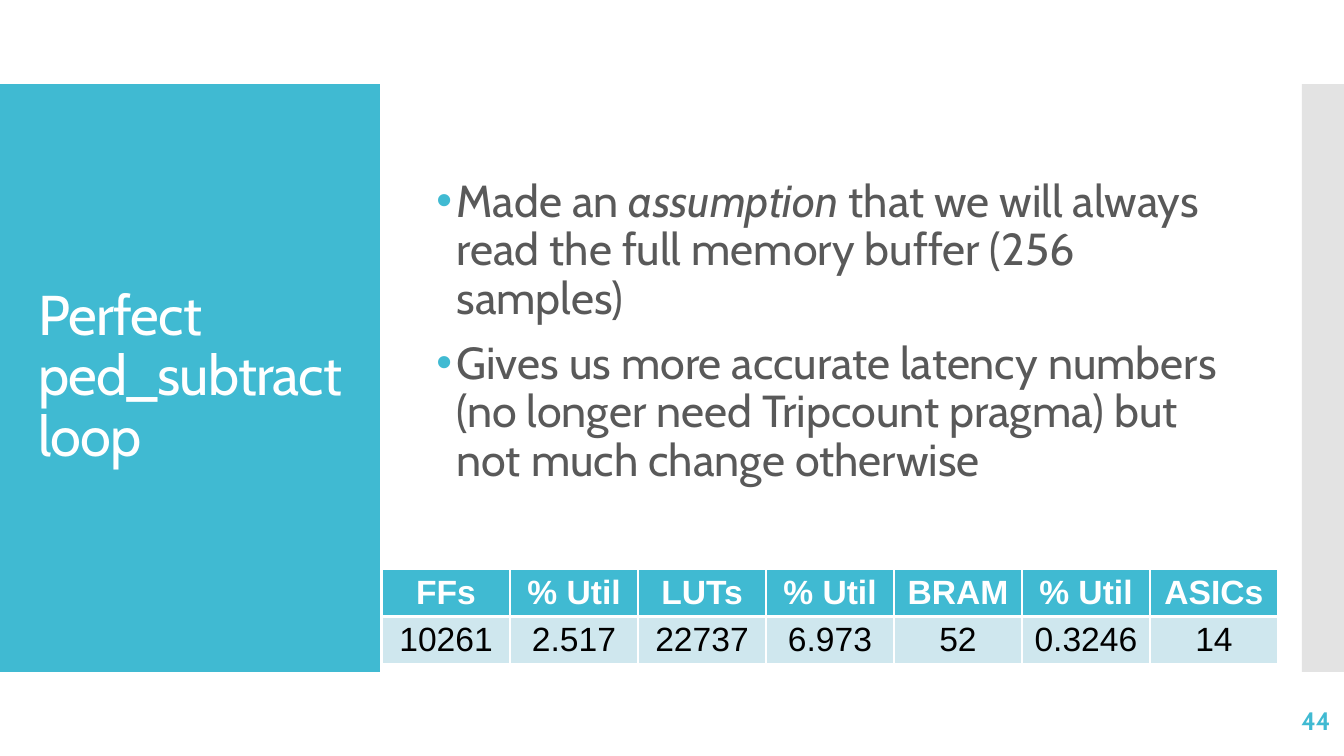
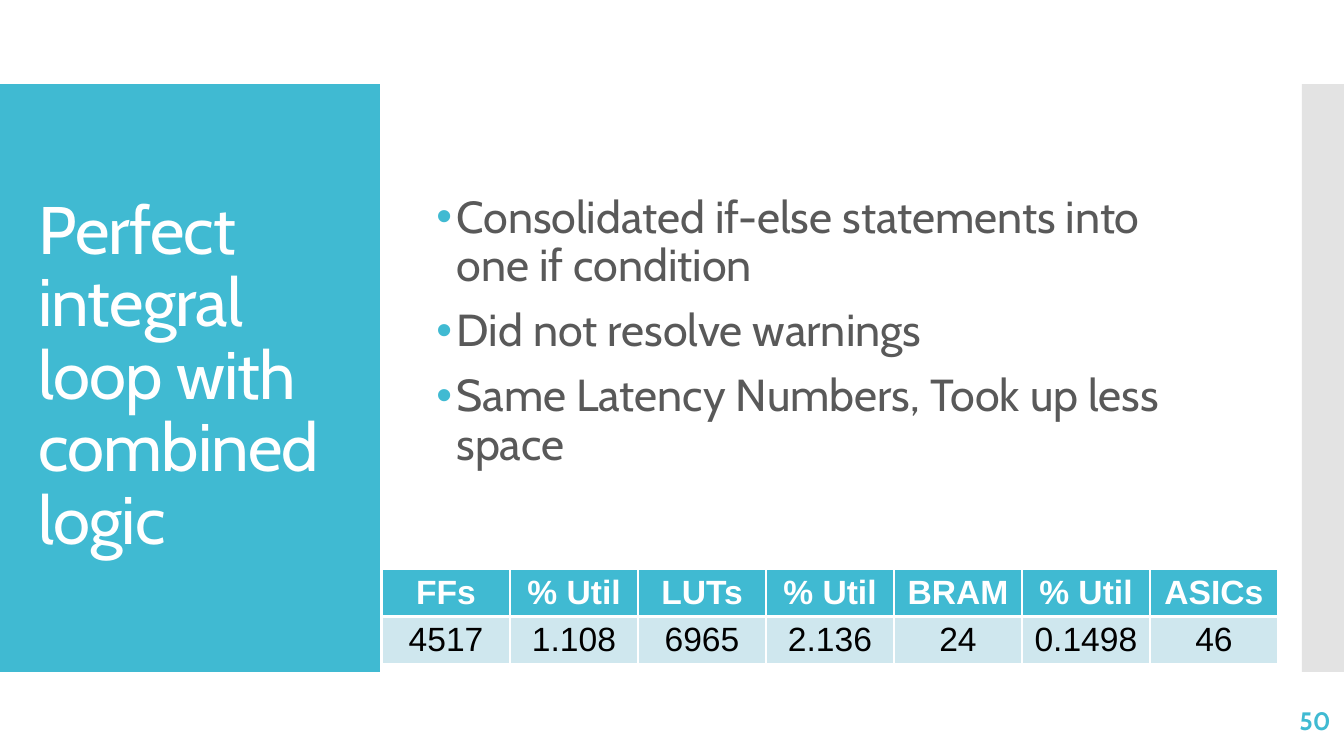
from lxml import etree
from pptx import Presentation
from pptx.dml.color import RGBColor
from pptx.enum import shapes, text
from pptx.oxml.ns import qn
from pptx.util import Pt

HEADER = ["FFs", "% Util", "LUTs", "% Util", "BRAM", "% Util", "ASICs"]
# Each bullet is a list of (text, italic) runs.
SLIDES = [
    {
        "title": "Perfect ped_subtract loop",
        "title_size": 40,
        "bullets": [
            [("Made an ", False), ("assumption", True),
             (" that we will always read the full memory buffer (256 samples)", False)],
            [("Gives us more accurate latency numbers (no longer need Tripcount pragma) "
              "but not much change otherwise", False)],
        ],
        "values": ["10261", "2.517", "22737", "6.973", "52", "0.3246", "14"],
        "number": "44",
    },
    {
        "title": "Perfect integral loop with combined logic",
        "title_size": 48,
        "bullets": [
            [("Consolidated if-else statements into one if condition", False)],
            [("Did not resolve warnings", False)],
            [("Same Latency Numbers, Took up less space", False)],
        ],
        "values": ["4517", "1.108", "6965", "2.136", "24", "0.1498", "46"],
        "number": "50",
    },
]

TEAL = RGBColor(0x40, 0xBA, 0xD2)
PALE_TEAL = RGBColor(0xCF, 0xE7, 0xEE)
GRAY = RGBColor(0xC8, 0xC8, 0xC8)
DARK = RGBColor(0x59, 0x59, 0x59)
WHITE = RGBColor(0xFF, 0xFF, 0xFF)
BLACK = RGBColor(0, 0, 0)
FONT, TABLE_FONT = "Cabin", "Arial"

SLIDE_W, SLIDE_H = 960, 540
BAND_TOP, BAND_H = 60, 420
PANEL_W, EDGE_W = 271.4, 30
TITLE_BOX = (20.2, 88.6, 231.8, 362.2)
BODY_BOX = (304.6, 68, 576, 338.6)
NUMBER_BOX = (837.4, 500.4, 120.2, 28.8)
TABLE_LEFT, TABLE_TOP, TABLE_W, ROW_H = 272.9, 406.8, 640, 33.6
INDENT = 14.4


def points(*values):
    return [Pt(v) for v in values]


def add_run(p, content, size, color, font=FONT, bold=False, italic=False, spacing=None):
    r = p.add_run()
    r.text = content
    f = r.font
    f.name, f.size, f.bold, f.italic = font, Pt(size), bold, italic
    f.color.rgb = color
    if spacing is not None:
        r._r.get_or_add_rPr().set("spc", str(round(spacing * 100)))


def prepare_frame(tf):
    tf.word_wrap = True
    tf.auto_size = text.MSO_AUTO_SIZE.NONE
    tf.vertical_anchor = text.MSO_ANCHOR.MIDDLE
    return tf


def add_band(slide, left, width, color, alpha=None):
    """Add a full-height band behind everything else on the slide."""
    sp = slide.shapes.add_shape(shapes.MSO_SHAPE.RECTANGLE,
                                *points(left, BAND_TOP, width, BAND_H))
    sp.shadow.inherit = False
    sp.fill.solid()
    sp.fill.fore_color.rgb = color
    sp.line.fill.background()
    if alpha is not None:
        clr = sp._element.spPr.find(qn("a:solidFill"))[0]
        etree.SubElement(clr, qn("a:alpha"), val=str(alpha * 1000))
    slide.shapes._spTree.insert(2, sp._element)


def set_title(slide, content, size):
    sp = slide.shapes.title
    sp.left, sp.top, sp.width, sp.height = points(*TITLE_BOX)
    p = prepare_frame(sp.text_frame).paragraphs[0]
    p.alignment, p.line_spacing = text.PP_ALIGN.LEFT, 0.9
    add_run(p, content, size, WHITE, spacing=-0.6)


def set_bullet(p):
    pPr = p._p.get_or_add_pPr()
    pPr.set("marL", str(Pt(INDENT)))
    pPr.set("indent", str(-Pt(INDENT)))
    clr = etree.SubElement(pPr, qn("a:buClr"))
    etree.SubElement(clr, qn("a:srgbClr"), val=str(TEAL))
    etree.SubElement(pPr, qn("a:buFont"), typeface="Arial")
    etree.SubElement(pPr, qn("a:buChar"), char="•")


def add_bullets(slide, bullets):
    tf = prepare_frame(slide.shapes.add_textbox(*points(*BODY_BOX)).text_frame)
    for i, runs in enumerate(bullets):
        p = tf.add_paragraph() if i else tf.paragraphs[0]
        p.line_spacing, p.space_before = 0.9, Pt(12)
        set_bullet(p)
        for content, italic in runs:
            add_run(p, content, 32, DARK, italic=italic)


def set_borders(cell, **widths):
    """Draw white cell borders; keywords are L, R, T and B in points."""
    tcPr = cell._tc.get_or_add_tcPr()
    for i, (side, width) in enumerate(widths.items()):
        ln = etree.Element(qn(f"a:ln{side}"), w=str(Pt(width)))
        fill = etree.SubElement(ln, qn("a:solidFill"))
        etree.SubElement(fill, qn("a:srgbClr"), val=str(WHITE))
        tcPr.insert(i, ln)


def add_usage_table(slide, values):
    rows = [(HEADER, TEAL, WHITE, True, 1, 3), (values, PALE_TEAL, BLACK, False, 3, 1)]
    table = slide.shapes.add_table(
        len(rows), len(HEADER),
        *points(TABLE_LEFT, TABLE_TOP, TABLE_W, ROW_H * len(rows))).table
    for col in table.columns:
        col.width = Pt(TABLE_W / len(HEADER))
    for r, (row, fill, color, bold, top, bottom) in enumerate(rows):
        table.rows[r].height = Pt(ROW_H)
        for c, content in enumerate(row):
            cell = table.cell(r, c)
            cell.margin_left = cell.margin_right = Pt(3)
            cell.margin_top = cell.margin_bottom = Pt(3)
            cell.vertical_anchor = text.MSO_ANCHOR.MIDDLE
            cell.fill.solid()
            cell.fill.fore_color.rgb = fill
            set_borders(cell, L=1, R=1, T=top, B=bottom)
            p = cell.text_frame.paragraphs[0]
            p.alignment = text.PP_ALIGN.CENTER
            add_run(p, content, 24, color, font=TABLE_FONT, bold=bold)


def add_number(slide, number):
    tf = prepare_frame(slide.shapes.add_textbox(*points(*NUMBER_BOX)).text_frame)
    p = tf.paragraphs[0]
    p.alignment = text.PP_ALIGN.RIGHT
    add_run(p, number, 18, TEAL, bold=True)


def main():
    prs = Presentation()
    prs.slide_width, prs.slide_height = points(SLIDE_W, SLIDE_H)
    for content in SLIDES:
        slide = prs.slides.add_slide(prs.slide_layouts[5])
        add_band(slide, SLIDE_W - EDGE_W, EDGE_W, GRAY, alpha=50)
        add_band(slide, 0, PANEL_W, TEAL)
        set_title(slide, content["title"], content["title_size"])
        add_bullets(slide, content["bullets"])
        add_usage_table(slide, content["values"])
        add_number(slide, content["number"])
    prs.save("out.pptx")


if __name__ == "__main__":
    main()
